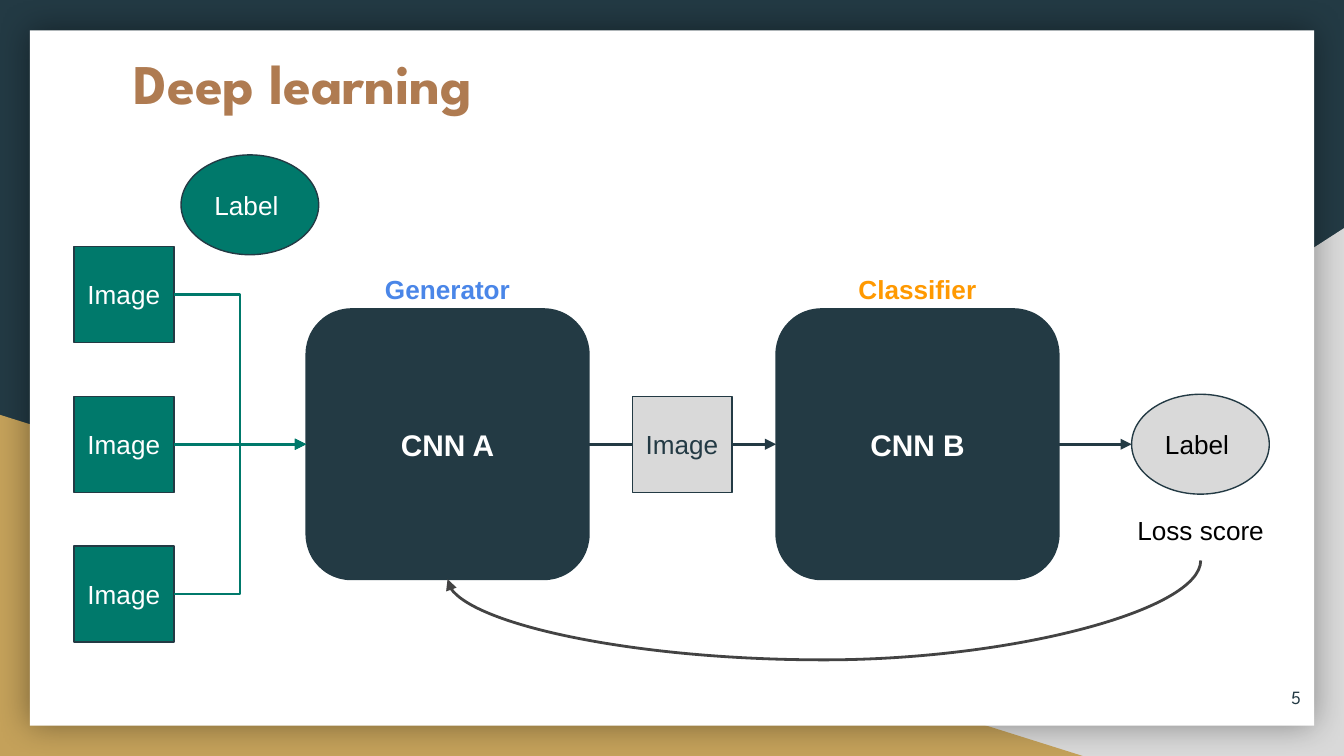
from lxml import etree
from pptx import Presentation
from pptx.dml.color import RGBColor
from pptx.enum.shapes import MSO_CONNECTOR, MSO_SHAPE
from pptx.enum.text import MSO_ANCHOR, PP_ALIGN
from pptx.oxml import parse_xml
from pptx.oxml.ns import nsdecls, qn
from pptx.util import Pt

RECT, ROUNDED, OVAL = MSO_SHAPE.RECTANGLE, MSO_SHAPE.ROUNDED_RECTANGLE, MSO_SHAPE.OVAL
TRIANGLE = MSO_SHAPE.RIGHT_TRIANGLE
STRAIGHT, ELBOW, CURVE = MSO_CONNECTOR.STRAIGHT, MSO_CONNECTOR.ELBOW, MSO_CONNECTOR.CURVE
LEFT, CENTER, RIGHT = PP_ALIGN.LEFT, PP_ALIGN.CENTER, PP_ALIGN.RIGHT
TOP, MIDDLE = MSO_ANCHOR.TOP, MSO_ANCHOR.MIDDLE
NAVY, TEAL, GREY, WHITE, BLACK = "233A44", "00796B", "D9D9D9", "FFFFFF", "000000"


def rgb(color):
    return RGBColor.from_string(color)


def block(box, text="", kind=None, fill=None, line=None, size=14, color=WHITE,
          bold=False, align=LEFT, anchor=MIDDLE, font="Arial", spacing=None):
    """Add a filled shape, or a plain text box when no kind is given."""
    place = [Pt(v) for v in box]
    if kind is None:
        item = slide.shapes.add_textbox(*place)
    else:
        item = slide.shapes.add_shape(kind, *place)
        item.shadow.inherit = False
        item.fill.solid()
        item.fill.fore_color.rgb = rgb(fill)
        if line:
            item.line.color.rgb = rgb(line)
            item.line.width = Pt(0.75)
        else:
            item.line.fill.background()
    if text:
        frame = item.text_frame
        frame.word_wrap = True
        frame.vertical_anchor = anchor
        frame.margin_left = frame.margin_right = Pt(7.2)
        frame.margin_top = frame.margin_bottom = Pt(7.2)
        words = frame.paragraphs[0]
        words.text = text
        words.alignment = align
        words.line_spacing = spacing
        words.font.name, words.font.size, words.font.bold = font, Pt(size), bold
        words.font.color.rgb = rgb(color)
    return item


def connect(kind, start, end, color, arrow=True):
    """Add a connector, with an arrowhead at its end."""
    link = slide.shapes.add_connector(kind, *[Pt(v) for v in (*start, *end)])
    link.line.color.rgb = rgb(color)
    link.line.width = Pt(1.5)
    if arrow:
        etree.SubElement(link.line._get_or_add_ln(), qn("a:tailEnd"), type="triangle")
    etree.SubElement(link._element.spPr, qn("a:effectLst"))
    return link


prs = Presentation()
prs.slide_width, prs.slide_height = Pt(720), Pt(405)
slide = prs.slides.add_slide(prs.slide_layouts[6])

# Background: two corner triangles and a white page with a soft shadow
slide.background.fill.solid()
slide.background.fill.fore_color.rgb = rgb(NAVY)
grey_corner = block((282, 122.25, 438, 282.75), kind=TRIANGLE, fill=GREY)
grey_corner._element.spPr.find(qn("a:xfrm")).set("flipH", "1")
block((0, 222.25, 580, 182.75), kind=TRIANGLE, fill="C4A15A")
page = block((16, 16.25, 688, 372.5), kind=RECT, fill=WHITE)
page._element.spPr.find(qn("a:effectLst")).append(parse_xml(
    f'<a:outerShdw {nsdecls("a")} blurRad="{Pt(18)}" algn="ctr" rotWithShape="0">'
    '<a:srgbClr val="000000"><a:alpha val="40000"/></a:srgbClr></a:outerShdw>'))

# Title and page number
block((64.5, 18.75, 591, 75), "Deep learning", size=30, color="AF7B51", bold=True,
      anchor=TOP, font="League Spartan")
block((661, 358, 43, 31), "5", size=10, color=NAVY, align=RIGHT, font="League Spartan")

# The two networks and their headings
axis = 238
net_w, net_h = 151.5, 145
networks = []
for left, name, role, color in ((164, "CNN A", "Generator", "4A86E8"),
                                (415.75, "CNN B", "Classifier", "FF9900")):
    net = block((left, axis - net_h / 2, net_w, net_h), name, ROUNDED, NAVY, NAVY,
                size=16, bold=True, align=CENTER)
    net.adjustments[0] = 0.167
    networks.append(net)
    block((left - 3, 131, 157.5, 32), role, color=color, bold=True, align=CENTER,
          anchor=TOP, spacing=1.5)
generator, classifier = networks

# Input images, all feeding the generator
image_w, image_h, row_gap = 53.5, 51.5, 80.25
for row in (-1, 0, 1):
    middle = axis + row * row_gap
    image = block((39.75, middle - image_h / 2, image_w, image_h), "Image", RECT, TEAL, NAVY)
    feed = connect(ELBOW if row else STRAIGHT, (93.25, middle), (164, axis), TEAL)
    feed.begin_connect(image, 3)
    feed.end_connect(generator, 1)

# Generated image, on the link between the networks
handover = connect(STRAIGHT, (315.5, axis), (415.75, axis), NAVY)
handover.begin_connect(generator, 3)
handover.end_connect(classifier, 1)
block((338.75, axis - image_h / 2, image_w, image_h), "Image", RECT, GREY, NAVY, color=NAVY)

# Predicted label and true label
label_w, label_h = 73.75, 53.5
block((606.25, axis - label_h / 2, label_w, label_h), "Label", OVAL, GREY, NAVY, color=BLACK)
prediction = connect(STRAIGHT, (567.25, axis), (606.25, axis), NAVY)
prediction.begin_connect(classifier, 3)
block((97, 83, label_w, label_h), "Label", OVAL, TEAL, NAVY)

# Loss score, curving back to the generator
block((600.5, 268.5, 85.5, 32), "Loss score", color=BLACK, align=CENTER, anchor=TOP)
span, drop = 403.5, 10
center_x, center_y = 441.5, 305.25
feedback = connect(CURVE, (center_x - drop / 2, center_y - span / 2),
                   (center_x + drop / 2, center_y + span / 2), "434343")
feedback._element.spPr.find(qn("a:xfrm")).set("rot", str(90 * 60000))
curve = feedback._element.spPr.find(qn("a:prstGeom"))
etree.SubElement(curve.get_or_add_avLst(), qn("a:gd"), name="adj1", fmla="val 532300")

prs.save("out.pptx")
